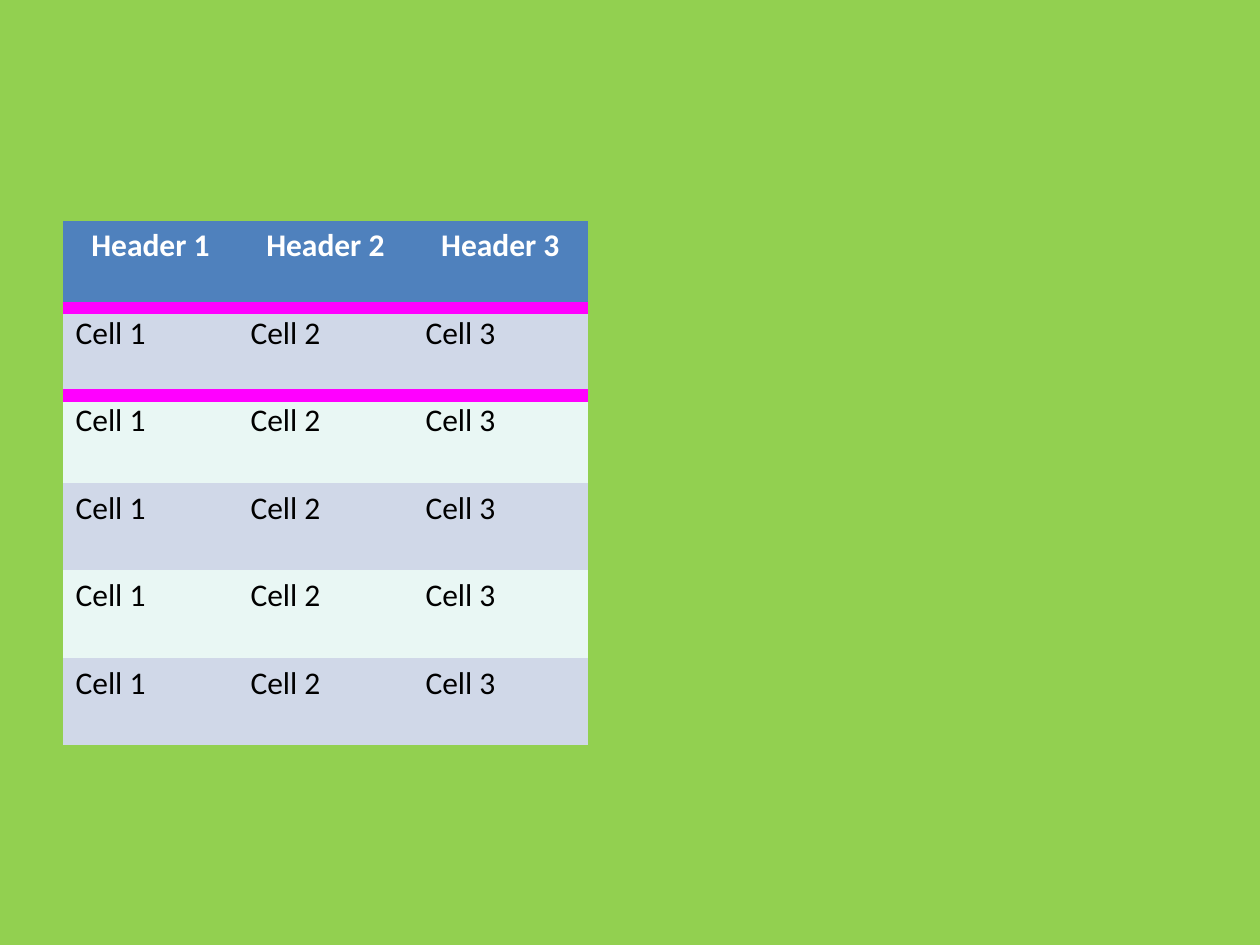
from lxml import etree
from pptx import Presentation
from pptx.dml.color import RGBColor
from pptx.enum import text
from pptx.oxml.ns import qn
from pptx.util import Pt

HEADERS = ["Header 1", "Header 2", "Header 3"]
BODY = [["Cell 1", "Cell 2", "Cell 3"]] * 5
ROWS = [HEADERS] + BODY

COLORS = {
    "background": "92D050",
    "header": "4F81BD",
    "header_text": "FFFFFF",
    "odd_row": "D0D8E8",
    "even_row": "E9F7F4",
    "body_text": "000000",
    "rule": "FF00FF",
}
FONT, FONT_SIZE = "Calibri", 18
LEFT, TOP = 36, 126
COLUMN_WIDTH, ROW_HEIGHT = 100, 50
RULE_WIDTH = 8
PLAIN_STYLE = "{2D5ABB26-0587-4C30-8999-92F81FD0307C}"


def color(name):
    """Return a named colour."""
    return RGBColor.from_string(COLORS[name])


def add_border(cell, side):
    """Draw the rule along one side of a cell ("T" or "B")."""
    properties = cell._tc.get_or_add_tcPr()
    line = etree.Element(qn(f"a:ln{side}"), w=str(Pt(RULE_WIDTH)), cmpd="sng")
    fill = etree.SubElement(line, qn("a:solidFill"))
    etree.SubElement(fill, qn("a:srgbClr"), val=COLORS["rule"])
    etree.SubElement(line, qn("a:prstDash"), val="solid")
    properties.insert(0, line)


def fill_cell(cell, wording, row):
    """Write and format one cell according to its row."""
    is_header = row == 0
    band = "header" if is_header else "odd_row" if row % 2 else "even_row"
    cell.fill.solid()
    cell.fill.fore_color.rgb = color(band)
    paragraph = cell.text_frame.paragraphs[0]
    paragraph.alignment = text.PP_ALIGN.CENTER if is_header else text.PP_ALIGN.LEFT
    run = paragraph.add_run()
    run.text = wording
    run.font.name = FONT
    run.font.size = Pt(FONT_SIZE)
    run.font.bold = is_header
    run.font.color.rgb = color("header_text" if is_header else "body_text")
    if row < 2:
        add_border(cell, "B" if is_header else "T")


def add_grid(slide):
    """Add the table with its header and banded rows."""
    frame = slide.shapes.add_table(
        len(ROWS), len(HEADERS), Pt(LEFT), Pt(TOP),
        Pt(COLUMN_WIDTH * len(HEADERS)), Pt(ROW_HEIGHT * len(ROWS)))
    for style in frame.element.iter(qn("a:tableStyleId")):
        style.text = PLAIN_STYLE
    table = frame.table
    for row, wordings in enumerate(ROWS):
        for column, wording in enumerate(wordings):
            fill_cell(table.cell(row, column), wording, row)


presentation = Presentation()
presentation.slide_width, presentation.slide_height = Pt(720), Pt(540)
slide = presentation.slides.add_slide(presentation.slide_layouts[6])
slide.background.fill.solid()
slide.background.fill.fore_color.rgb = color("background")
add_grid(slide)
presentation.save("out.pptx")
